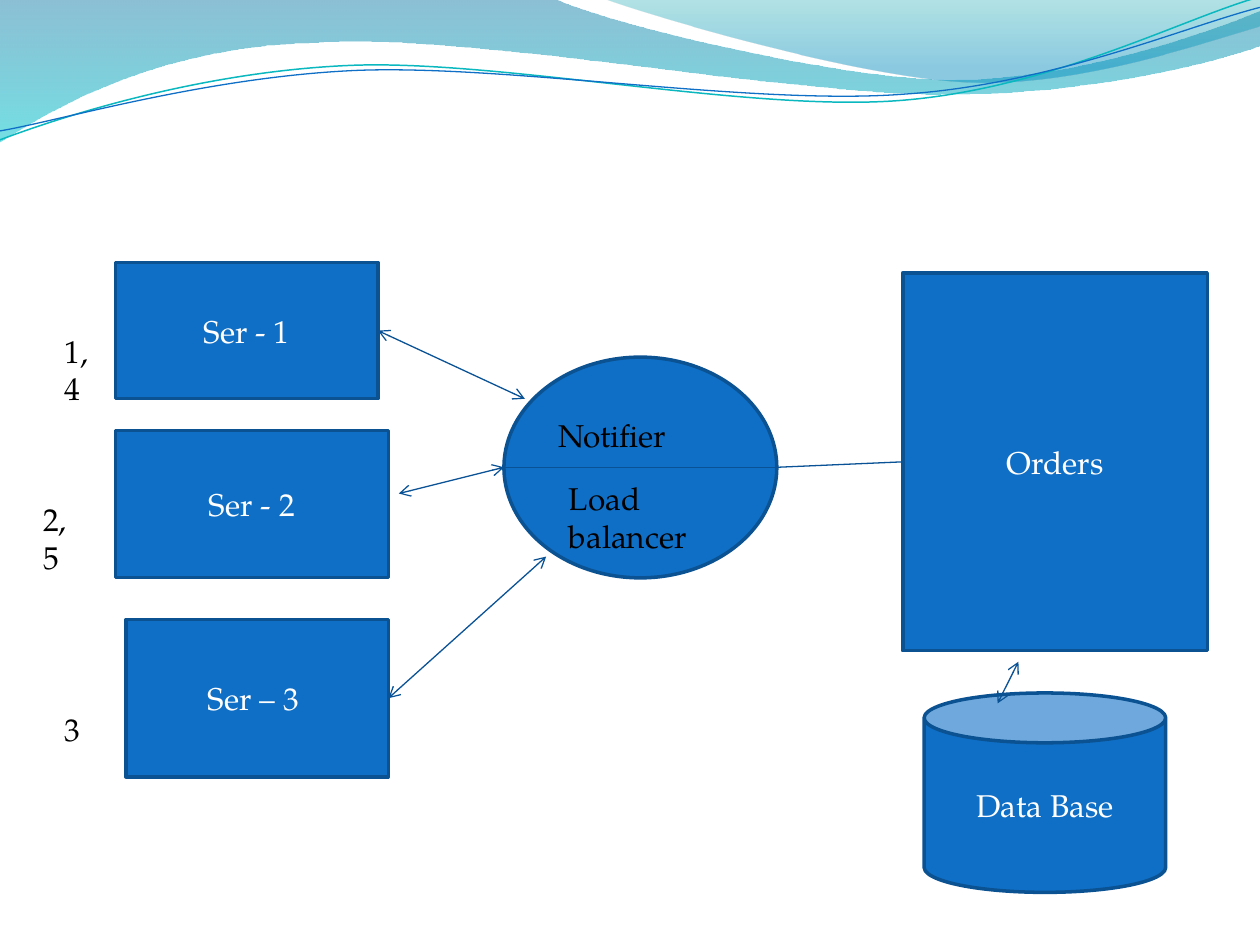
from dataclasses import dataclass

from lxml import etree
from pptx import Presentation
from pptx.dml.color import RGBColor
from pptx.enum import shapes, text
from pptx.oxml.ns import qn
from pptx.util import Cm, Pt


@dataclass(frozen=True)
class Theme:
    font: str = "TeX Gyre Pagella"
    size: float = 18
    fill: str = "0F6FC6"
    outline: str = "0B5292"
    connector: str = "095295"
    teal: str = "0AB8BF"
    light: str = "FFFFFF"
    dark: str = "000000"
    outline_width: float = 2
    connector_width: float = 0.75


THEME = Theme()

# Wave outlines in cm: a pair is a straight step, six numbers a Bezier step
LEFT_WAVE = [
    (0, 0), (11.18, -0.02),
    (12.09, 0.43, 16.87, 1.6, 19.25, 1.6), (21.67, 1.6, 24.33, 0.66, 25.4, 0.23),
    (25.43, 0.91),
    (24.97, 1.12, 22.1, 1.93, 18.95, 1.9), (15.8, 1.9, 9.7, 0.71, 6.53, 0.86),
    (3.28, 0.91, 1.17, 2.11, -0.03, 2.87),
]
RIGHT_WAVE = [
    (12.17, -0.02),
    (12.93, 0.28, 17.32, 1.57, 19.53, 1.65), (21.74, 1.75, 24.41, 0.81, 25.4, 0.53),
    (25.4, 0),
]
TEAL_CURVE = [
    (0, 2.82), (1.22, 2.36, 4.01, 1.45, 7.04, 1.32),
    (10.03, 1.19, 15.06, 2.26, 18.11, 2.03), (21.16, 1.8, 23.83, 0.38, 25.35, -0.05),
]
BLUE_CURVE = [
    (0, 2.64), (1.19, 2.44, 4.17, 1.55, 7.19, 1.42),
    (10.24, 1.3, 15.16, 2.13, 18.21, 1.9), (21.23, 1.7, 23.9, 0.53, 25.4, 0.15),
]


def rgb(value):
    return RGBColor.from_string(value)


def add_outline(slide, steps, close):
    """Build a freeform through the step ends, then bend its Bezier steps."""
    ends = [(Cm(step[-2]), Cm(step[-1])) for step in steps]
    builder = slide.shapes.build_freeform(*ends[0], scale=1.0)
    builder.add_line_segments(ends[1:], close=close)
    shape = builder.convert_to_shape()
    shape.shadow.inherit = False
    segments = list(shape.element.spPr.iter(qn("a:lnTo")))
    for segment, step in zip(segments, steps[1:]):
        if len(step) == 2:
            continue
        segment.tag = qn("a:cubicBezTo")
        for index, start in enumerate((0, 2)):
            point = etree.Element(
                qn("a:pt"),
                x=str(Cm(step[start]) - shape.left),
                y=str(Cm(step[start + 1]) - shape.top))
            segment.insert(index, point)
    return shape


def add_wave(slide, steps, stops):
    """Add a filled wave; each stop is (position, colour, opacity percent)."""
    shape = add_outline(slide, steps, close=True)
    shape.line.fill.background()
    shape.fill.gradient()
    shape.fill.gradient_angle = 270
    for stop, (position, color, opacity) in zip(shape.fill.gradient_stops, stops):
        stop.position = position
        stop.color.rgb = rgb(color)
    colors = shape.element.spPr.iter(qn("a:srgbClr"))
    for element, (position, color, opacity) in zip(colors, stops):
        etree.SubElement(element, qn("a:alpha"), val=str(opacity * 1000))


def add_curve(slide, steps, color, width):
    shape = add_outline(slide, steps, close=False)
    shape.fill.background()
    shape.line.color.rgb = rgb(color)
    shape.line.width = Pt(width)


def write(shape, content, color=THEME.dark, align=text.PP_ALIGN.LEFT,
          anchor=text.MSO_ANCHOR.TOP):
    frame = shape.text_frame
    frame.word_wrap = True
    frame.vertical_anchor = anchor
    paragraph = frame.paragraphs[0]
    paragraph.alignment = align
    run = paragraph.add_run()
    run.text = content
    run.font.name = THEME.font
    run.font.size = Pt(THEME.size)
    run.font.color.rgb = rgb(color)


def add_node(slide, kind, box, content=None):
    shape = slide.shapes.add_shape(kind, *map(Cm, box))
    shape.shadow.inherit = False
    shape.fill.solid()
    shape.fill.fore_color.rgb = rgb(THEME.fill)
    shape.line.color.rgb = rgb(THEME.outline)
    shape.line.width = Pt(THEME.outline_width)
    if content:
        write(shape, content, color=THEME.light, align=text.PP_ALIGN.CENTER,
              anchor=text.MSO_ANCHOR.MIDDLE)
    return shape


def add_label(slide, box, content):
    write(slide.shapes.add_textbox(*map(Cm, box)), content)


def add_link(slide, start, end, arrows=True, begin=None, finish=None):
    """Join two points; begin and finish are optional (shape, side) pairs."""
    link = slide.shapes.add_connector(
        shapes.MSO_CONNECTOR.STRAIGHT, *map(Cm, (*start, *end)))
    if begin:
        link.begin_connect(*begin)
    if finish:
        link.end_connect(*finish)
    link.line.color.rgb = rgb(THEME.connector)
    link.line.width = Pt(THEME.connector_width)
    if arrows:
        line = link.element.spPr.find(qn("a:ln"))
        for tag in ("a:headEnd", "a:tailEnd"):
            etree.SubElement(line, qn(tag), type="arrow")
    etree.SubElement(link.element.spPr, qn("a:effectLst"))


def add_header(slide):
    add_wave(slide, LEFT_WAVE, [(0, "0074A1", 45), (1, "00C6CF", 55)])
    add_wave(slide, RIGHT_WAVE, [(0, "00A1A9", 30), (0.8, "008BBF", 45)])
    add_curve(slide, TEAL_CURVE, THEME.teal, 0.85)
    add_curve(slide, BLUE_CURVE, THEME.fill, 0.75)


def add_diagram(slide):
    kinds = shapes.MSO_SHAPE

    # Nodes
    add_node(slide, kinds.FLOWCHART_CONNECTOR, (10.16, 7.2, 5.5, 4.45))
    orders = add_node(slide, kinds.RECTANGLE, (18.2, 5.5, 6.14, 7.62), "Orders")
    server_1 = add_node(slide, kinds.RECTANGLE, (2.33, 5.29, 5.29, 2.75), "Ser - 1")
    add_node(slide, kinds.FLOWCHART_PROCESS, (2.33, 8.68, 5.5, 2.96), "Ser - 2")
    server_3 = add_node(
        slide, kinds.FLOWCHART_PROCESS, (2.54, 12.49, 5.29, 3.17), "Ser – 3 ")

    # Split hub
    hub_left, hub_right = (10.16, 9.42), (15.66, 9.42)
    add_link(slide, hub_left, hub_right, arrows=False)
    add_label(slide, (11.01, 8.26, 3.81, 1.03), "Notifier")
    add_label(slide, (11.22, 9.53, 3.81, 1.8), "Load balancer")

    # Links between servers, hub and orders
    add_link(slide, (7.62, 6.67), (10.58, 8.04), begin=(server_1, 3))
    add_link(slide, (8.04, 9.95), hub_left)
    add_link(slide, (7.83, 14.08), (11.01, 11.22), begin=(server_3, 3))
    add_link(slide, hub_right, (18.2, 9.31), arrows=False, finish=(orders, 1))

    # Request numbers beside the servers
    for left, top, width, content in (
            (1.06, 6.56, 1.21, "1,4"), (0.62, 9.95, 1.21, "2,5"), (1.06, 14.18, 0.82, "3")):
        add_label(slide, (left, top, width, 1.03), content)

    # Database
    add_node(slide, kinds.CAN, (18.63, 13.97, 4.87, 4.02), "Data Base")
    add_link(slide, (20.53, 13.34), (20.11, 14.18))


def main():
    presentation = Presentation()
    presentation.slide_width = Cm(25.4)
    presentation.slide_height = Cm(19.05)
    slide = presentation.slides.add_slide(presentation.slide_layouts[6])
    add_header(slide)
    add_diagram(slide)
    presentation.save("out.pptx")


if __name__ == "__main__":
    main()
